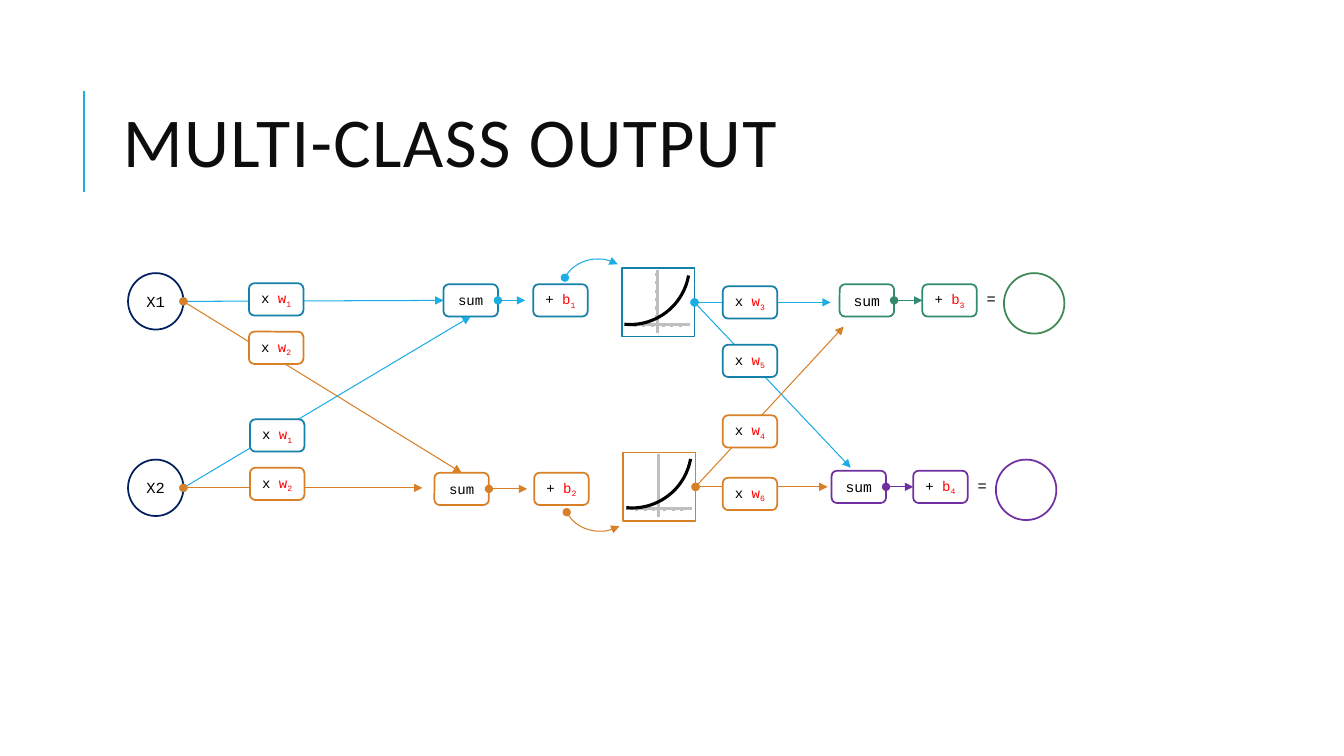
from pptx import Presentation
from pptx import util as u
from pptx.dml import color as dml
from pptx.enum import shapes, text
from pptx.oxml import ns
from lxml import etree

CELL = 0.1  # grid cell in inches; every position below counts cells
BLUE, TEAL, ORANGE = "1CADE4", "1580A9", "D88028"
GREEN, PURPLE, NAVY = "328B71", "7030A0", "002060"
BLACK, RED, GREY = "000000", "FF0000", "BFBFBF"
KIND = shapes.MSO_SHAPE
TOP, LEFT, BOTTOM, RIGHT = range(4)


def grid(*cells):
    return [u.Inches(cell * CELL) for cell in cells]


def style(item, line, width, ends=False):
    """Outline an item, optionally with a dot at its start and an arrow at its end."""
    item.line.color.rgb = dml.RGBColor.from_string(line)
    item.line.width = u.Pt(width)
    properties = item._element.spPr
    if ends:
        outline = properties.find(ns.qn("a:ln"))
        for tag, end in {"a:headEnd": "oval", "a:tailEnd": "triangle"}.items():
            etree.SubElement(outline, ns.qn(tag), type=end)
    if properties.find(ns.qn("a:effectLst")) is None:
        etree.SubElement(properties, ns.qn("a:effectLst"))


deck = Presentation()
deck.slide_width, deck.slide_height = grid(133.33, 75)
page = deck.slides.add_slide(deck.slide_layouts[5])

# Title with the accent bar on its left
title = page.shapes.title
title.left, title.top, title.width, title.height = grid(11.2, 6.4, 106.3, 16.4)
title.text_frame.text = "MULTI-CLASS OUTPUT"
title.text_frame.vertical_anchor = text.MSO_ANCHOR.MIDDLE
para = title.text_frame.paragraphs[0]
para.alignment, para.line_spacing = text.PP_ALIGN.LEFT, 0.8
span = para.runs[0]
for name, value in {"name": "Calibri", "size": u.Pt(50)}.items():
    setattr(span.font, name, value)
span.font.color.rgb = dml.RGBColor.from_string("0D0D0D")
span.font._element.set("spc", "100")
bar = page.shapes.add_connector(shapes.MSO_CONNECTOR.STRAIGHT, *grid(8.3, 19, 8.3, 9))
style(bar, BLUE, 1.5)

# Nodes: name, kind, left, top, width, height, outline, size, label, symbol, index
TAG = (5.4, 3.2)
nodes = [
    ("X1", KIND.OVAL, 12.7, 27.1, 5.5, 5.6, NAVY, 11, "X1", "", ""),
    ("X2", KIND.OVAL, 12.7, 45.6, 5.5, 5.6, NAVY, 11, "X2", "", ""),
    ("panel 1", KIND.RECTANGLE, 61.7, 26.6, 7.2, 6.8, TEAL, 10, "", "", ""),
    ("panel 2", KIND.RECTANGLE, 61.8, 44.9, 7.2, 6.8, ORANGE, 10, "", "", ""),
    ("output 1", KIND.OVAL, 99.6, 27.1, 6, 6, "3E8853", 10, "", "", ""),
    ("output 2", KIND.OVAL, 98.8, 45.6, 6, 6, PURPLE, 10, "", "", ""),
]
sums_and_biases = [
    (1, 44, 52.9, 28.2, TEAL, 10),
    (2, 43.1, 53, 46.9, ORANGE, 10),
    (3, 83.3, 91.5, 28.2, GREEN, 10.5),
    (4, 82.5, 90.6, 46.7, PURPLE, 10.5),
]
for index, sum_left, bias_left, top, line, size in sums_and_biases:
    nodes += [
        (f"sum {index}", KIND.ROUNDED_RECTANGLE, sum_left, top, *TAG, line, size, "sum", "", ""),
        (f"bias {index}", KIND.ROUNDED_RECTANGLE, bias_left, top, *TAG, line, 10, "+ ", "b", index),
    ]

# Links: start, end, colour; an end is a (node, side) or a grid point
links = [
    ((18.2, 29.9), ("sum 1", LEFT), BLUE),
    ((18.2, 29.9), ("sum 2", TOP), ORANGE),
    ((18.2, 48.4), ("sum 1", BOTTOM), BLUE),
    ((18.2, 48.4), (41.9, 48.4), ORANGE),
    (("sum 1", RIGHT), (52.1, 29.8), BLUE),
    (("sum 2", RIGHT), (52.3, 48.5), ORANGE),
    (("panel 1", RIGHT), (82.4, 30), BLUE),
    (("panel 1", RIGHT), (84.4, 46.4), BLUE),
    (("panel 2", RIGHT), (83.7, 32.4), ORANGE),
    (("panel 2", RIGHT), (82.1, 48.3), ORANGE),
    (("sum 3", RIGHT), ("bias 3", LEFT), GREEN),
    (("sum 4", RIGHT), ("bias 4", LEFT), PURPLE),
]

# Weights lie over the links
weights = [
    ("weight", KIND.ROUNDED_RECTANGLE, left, top, *TAG, line, 10, "x ", "w", index)
    for left, top, line, index in [
        (24.7, 28.1, TEAL, 1), (24.7, 32.9, ORANGE, 2),
        (24.8, 41.6, TEAL, 1), (24.8, 46.4, ORANGE, 2),
        (71.7, 28.4, TEAL, 3), (71.7, 34.2, TEAL, 5),
        (71.7, 41.2, ORANGE, 4), (71.7, 47.4, ORANGE, 6),
    ]
]

boxes = {}
for layer, arrows in ((nodes, links), (weights, [])):
    for name, kind, left, top, width, height, line, size, *parts in layer:
        box = boxes[name] = page.shapes.add_shape(kind, *grid(left, top, width, height))
        box.shadow.inherit = False
        box.fill.solid()
        box.fill.fore_color.rgb = dml.RGBColor.from_string("FFFFFF")
        style(box, line, 1.25)
        frame = box.text_frame
        for margin in ("margin_left", "margin_right", "margin_top", "margin_bottom"):
            setattr(frame, margin, 0)
        frame.vertical_anchor = text.MSO_ANCHOR.MIDDLE
        para = frame.paragraphs[0]
        para.alignment = text.PP_ALIGN.CENTER
        for part, ink, baseline in zip(parts, (BLACK, RED, RED), (0, 0, -25000)):
            if part:
                span = para.add_run()
                span.text = str(part)
                span.font.name, span.font.size = "Courier New", u.Pt(size)
                span.font.color.rgb = dml.RGBColor.from_string(ink)
                if baseline:
                    span.font._element.set("baseline", str(baseline))
    for start, end, line in arrows:
        points = [(0, 0) if spot[0] in boxes else spot for spot in (start, end)]
        link = page.shapes.add_connector(
            shapes.MSO_CONNECTOR.STRAIGHT, *grid(*points[0], *points[1]))
        for spot, join in ((start, link.begin_connect), (end, link.end_connect)):
            if spot[0] in boxes:
                join(boxes[spot[0]], spot[1])
        style(link, line, 0.75, ends=True)

# Activation plots: axes with ticks, then the curve
axes = [(62, 32.2, 68.5, 32.2), (65.2, 26.8, 65.2, 33)]
for step in range(3):
    for first in (63, 65.8):
        tick = first + 0.85 * step
        axes.append((tick, 32.2, tick, 32.4))
axes += [(65.2, 27.2 + 0.84 * step, 65, 27.2 + 0.84 * step) for step in range(6)]
for right, down in ((0, 0), (0.15, 18.25)):
    plot = page.shapes.add_group_shape()
    for x1, y1, x2, y2 in axes:
        axis = plot.shapes.add_connector(
            shapes.MSO_CONNECTOR.STRAIGHT,
            *grid(x1 + right, y1 + down, x2 + right, y2 + down))
        style(axis, GREY, 2.25)

# Arcs: left, top, width, height, rotation, flipped, angles, colour, line width, ends
arcs = [
    (56.6, 20.4, 11.8, 11.8, 90, False, (168.05, 3.31), BLACK, 2.25, False),
    (56.8, 38.6, 11.8, 11.8, 90, False, (168.05, 3.31), BLACK, 2.25, False),
    (55.8, 25.5, 7.4, 7.9, 298.9, False, (162, 0), BLUE, 0.75, True),
    (56, 45, 7.4, 7.9, 61.7, True, (162, 0), ORANGE, 0.75, True),
]
for left, top, width, height, turn, flipped, angles, line, weight, ends in arcs:
    arc = page.shapes.add_shape(KIND.ARC, *grid(left, top, width, height))
    arc.shadow.inherit = False
    arc.fill.background()
    arc.rotation = turn
    arc.adjustments[0], arc.adjustments[1] = angles
    if flipped:
        arc._element.spPr.xfrm.set("flipV", "1")
    style(arc, line, weight, ends)

# Equals signs before the outputs
for left, top in ((96.9, 28.2), (96, 46.7)):
    equals = page.shapes.add_textbox(*grid(left, top, 2.8, 2.9))
    equals.text_frame.word_wrap = True
    span = equals.text_frame.paragraphs[0].add_run()
    span.text = "="
    span.font.name, span.font.size = "Courier New", u.Pt(11)
    span.font.color.rgb = dml.RGBColor.from_string(BLACK)

deck.save("out.pptx")
